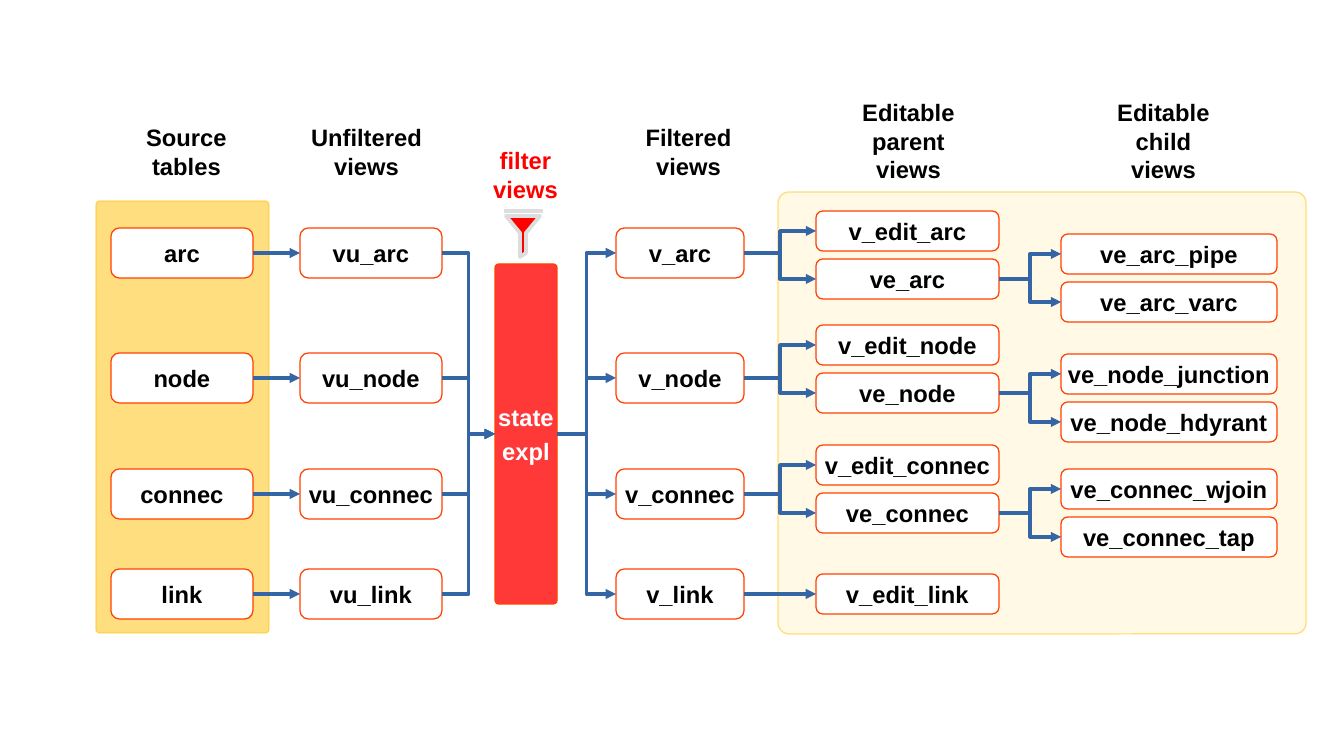
from dataclasses import dataclass
from typing import NamedTuple

from pptx import Presentation
from pptx.dml.color import RGBColor
from pptx.enum.shapes import MSO_CONNECTOR, MSO_SHAPE
from pptx.enum.text import MSO_ANCHOR, PP_ALIGN
from pptx.oxml.ns import qn
from pptx.oxml.xmlchemy import OxmlElement
from pptx.shapes.autoshape import Shape
from pptx.shapes.connector import Connector
from pptx.text.text import TextFrame
from pptx.util import Emu, Pt

SCALE = 7495  # EMU in one px


@dataclass(frozen=True)
class Theme:
    font: str = "Arial"
    size: float = 14
    gap: float = 2.8
    hair: float = 0
    thick: float = 2.25
    black: str = "000000"
    white: str = "FFFFFF"
    red: str = "FF0000"
    state: str = "FF3838"
    edge: str = "FF4000"
    amber: str = "FFBF00"
    cream: str = "FFF5CE"
    blue: str = "3465A4"
    grey: str = "DDDDDD"


class Area(NamedTuple):
    left: int
    top: int
    width: int
    height: int


class Column(NamedTuple):
    left: int
    width: int
    height: int


class Row(NamedTuple):
    name: str
    top: int
    parent: int       # top of the first parent view
    child: int        # top of the first child view
    kinds: tuple[str, ...]


class Heading(NamedTuple):
    text: str
    area: Area
    color: str


THEME = Theme()
STEP = 48  # from one stacked view to the next

SOURCE = Column(111, 142, 50)
RAW = Column(300, 142, 50)
VIEW = Column(616, 128, 50)
PARENT = Column(816, 183, 40)
CHILD = Column(1061, 216, 40)

ROWS = [
    Row("arc", 228, 211, 234, ("pipe", "varc")),
    Row("node", 353, 325, 354, ("junction", "hdyrant")),
    Row("connec", 469, 445, 469, ("wjoin", "tap")),
    Row("link", 569, 574, 0, ()),
]

HEADINGS = [
    Heading("Source\ntables", Area(131, 117, 111, 66), THEME.black),
    Heading("Unfiltered views", Area(290, 117, 153, 66), THEME.black),
    Heading("filter\nviews", Area(449, 140, 153, 66), THEME.red),
    Heading("Filtered views", Area(633, 117, 111, 76), THEME.black),
    Heading("Editable\vparent\nviews", Area(845, 92, 127, 92), THEME.black),
    Heading("Editable child views", Area(1100, 92, 127, 92), THEME.black),
]


def px(n: int) -> Emu:
    return Emu(n * SCALE)


def rgb(color: str) -> RGBColor:
    return RGBColor.from_string(color)


deck = Presentation()
deck.slide_width, deck.slide_height = px(1344), px(756)
shapes = deck.slides.add_slide(deck.slide_layouts[6]).shapes


def write(frame: TextFrame, text: str, color: str, after: float = 0) -> None:
    frame.text = text
    for para in frame.paragraphs:
        para.alignment = PP_ALIGN.CENTER
        para.space_after = Pt(after)
        para.font.name = THEME.font
        para.font.size = Pt(THEME.size)
        para.font.bold = True
        para.font.color.rgb = rgb(color)


def paint(shape: Shape, fill: str, line: str, width: float) -> None:
    shape.shadow.inherit = False
    shape.fill.solid()
    shape.fill.fore_color.rgb = rgb(fill)
    shape.line.color.rgb = rgb(line)
    shape.line.width = Pt(width)


def block(area: Area, fill: str, line: str, curve: float) -> Shape:
    shape = shapes.add_shape(MSO_SHAPE.ROUNDED_RECTANGLE, *map(px, area))
    shape.adjustments[0] = curve
    paint(shape, fill, line, THEME.hair)
    return shape


def panel(area: Area, fill: str, curve: float) -> None:
    shape = block(area, fill, THEME.amber, curve)
    for color in shape._element.spPr.iter(qn("a:srgbClr")):
        alpha = OxmlElement("a:alpha")
        alpha.set("val", "50000")
        color.append(alpha)


def label(shape: Shape, text: str, color: str, after: float = 0) -> None:
    frame = shape.text_frame
    frame.word_wrap = False
    frame.vertical_anchor = MSO_ANCHOR.MIDDLE
    write(frame, text, color, after)


def box(col: Column, top: int, text: str) -> Shape:
    area = Area(col.left, top, col.width, col.height)
    shape = block(area, THEME.white, THEME.edge, 0.167)
    label(shape, text, THEME.black)
    return shape


def style(line: Connector, color: str, width: float) -> None:
    line.line.color.rgb = rgb(color)
    line.line.width = Pt(width)
    line._element.spPr.append(OxmlElement("a:effectLst"))


def join(start: Shape, end: Shape) -> None:
    level = start.top + start.height // 2 == end.top + end.height // 2
    kind = MSO_CONNECTOR.STRAIGHT if level else MSO_CONNECTOR.ELBOW
    line = shapes.add_connector(kind, 0, 0, 0, 0)
    line.begin_connect(start, 3)
    line.end_connect(end, 1)
    style(line, THEME.blue, THEME.hair)
    tail = OxmlElement("a:tailEnd")
    tail.set("type", "triangle")
    line.line._get_or_add_ln().append(tail)


def funnel() -> None:
    points = [(520, 233), (520, 257), (526, 253), (526, 233), (540, 216)]
    form = shapes.build_freeform(506, 216, scale=SCALE)
    form.add_line_segments(points, close=True)
    paint(form.convert_to_shape(), THEME.red, THEME.grey, THEME.thick)
    rim = shapes.add_connector(
        MSO_CONNECTOR.STRAIGHT, px(504), px(211), px(543), px(211))
    style(rim, THEME.grey, THEME.thick)


def flow(row: Row, state: Shape) -> None:
    source = box(SOURCE, row.top, row.name)
    raw = box(RAW, row.top, f"vu_{row.name}")
    view = box(VIEW, row.top, f"v_{row.name}")
    edit = box(PARENT, row.parent, f"v_edit_{row.name}")
    for start, end in [(source, raw), (raw, state), (state, view), (view, edit)]:
        join(start, end)
    if row.kinds:
        parent = box(PARENT, row.parent + STEP, f"ve_{row.name}")
        join(view, parent)
        for i, kind in enumerate(row.kinds):
            join(parent, box(CHILD, row.child + i * STEP, f"ve_{row.name}_{kind}"))


# Panels behind the tables and the editable views
panel(Area(96, 201, 173, 432), THEME.amber, 0.02)
panel(Area(778, 192, 528, 442), THEME.cream, 0.025)

# Column headings
for head in HEADINGS:
    frame = shapes.add_textbox(*map(px, head.area)).text_frame
    frame.word_wrap = True
    write(frame, head.text, head.color)

# Filter bar with its funnel
state = block(Area(495, 264, 62, 340), THEME.state, THEME.edge, 0.06)
label(state, "state\nexpl", THEME.white, THEME.gap)
funnel()

# Rows of tables and views
for row in ROWS:
    flow(row, state)

deck.save("out.pptx")
